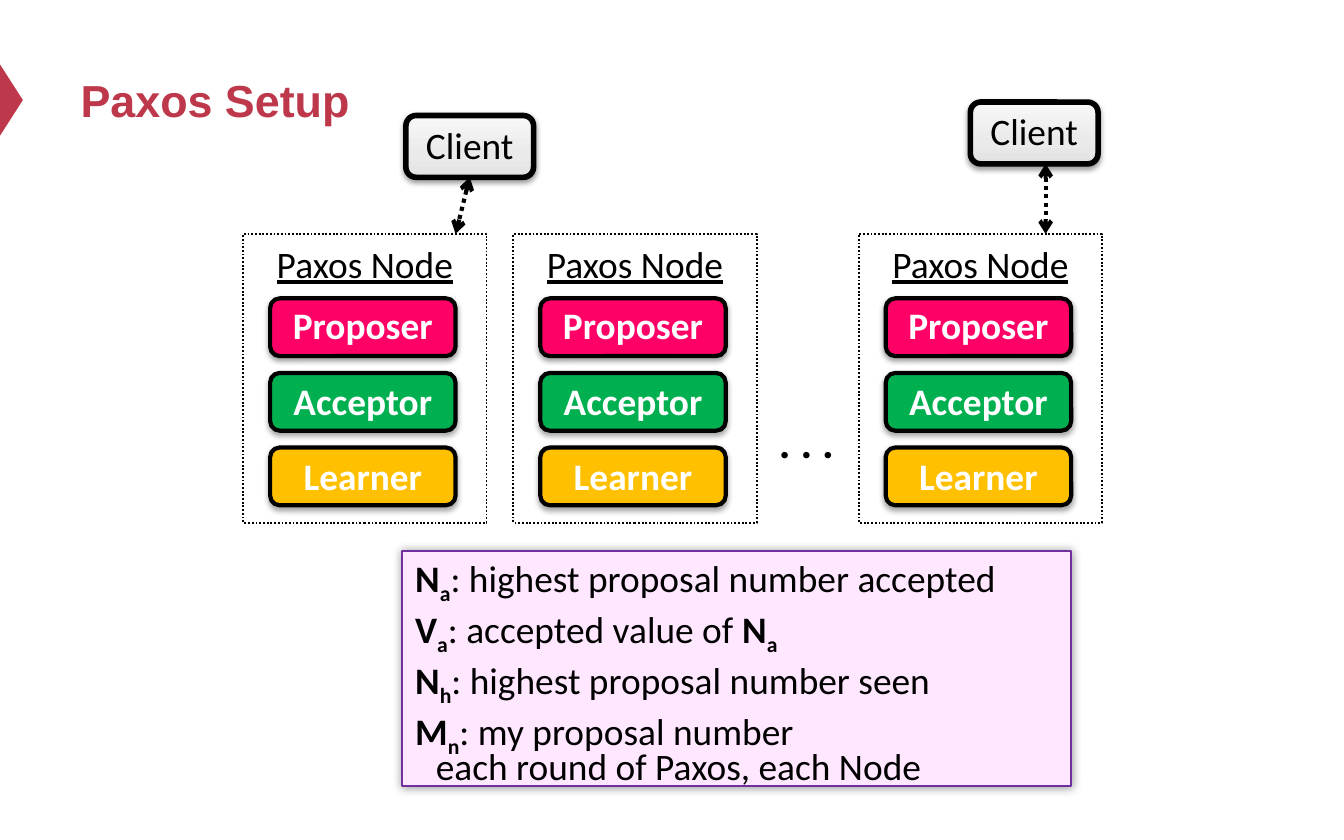
from typing import NamedTuple

from lxml.etree import SubElement
from pptx import Presentation
from pptx.dml.color import RGBColor
from pptx.enum.dml import MSO_LINE
from pptx.enum.shapes import MSO_CONNECTOR, MSO_SHAPE
from pptx.enum.text import MSO_ANCHOR, MSO_AUTO_SIZE, PP_ALIGN
from pptx.oxml.ns import qn
from pptx.util import Inches, Pt

BLACK, WHITE, CRIMSON = "000000", "FFFFFF", "BE384B"


class Box(NamedTuple):
    left: float
    top: float
    width: float
    height: float


class Shadow(NamedTuple):
    opacity: int
    blur: float
    distance: float
    degrees: int


class Role(NamedTuple):
    name: str
    fill: str
    shadow: Shadow
    bottom_inset: float
    spacing: float


class Run(NamedTuple):
    text: str
    bold: bool = False
    baseline: int = 0


SOFT = Shadow(38, 3.1, 1.6, 90)
FIRM = Shadow(35, 3.1, 1.8, 90)
GLOW = Shadow(40, 5, 0, 0)

ROLES = [
    Role("Proposer", "FF0066", SOFT, 0, 0.8),
    Role("Acceptor", "00B050", FIRM, 0.05, 1),
    Role("Learner", "FFC000", FIRM, 0.05, 1),
]
NODE_LEFTS = [1.81, 3.82, 6.39]
NODE_TOP = 1.74
CLIENT_STOPS = [(0, "E2E2E2"), (35, "EAEAEA"), (100, "F7F7F7")]


def symbol(letter: str, index: str) -> list[Run]:
    """Return a bold letter with a subscript."""
    return [Run(letter, True), Run(index, True, -25)]


DEFINITIONS = [
    [*symbol("N", "a"), Run(": highest proposal number accepted")],
    [*symbol("V", "a"), Run(": accepted value of "), *symbol("N", "a")],
    [*symbol("N", "h"), Run(": highest proposal number seen")],
    [*symbol("M", "n"), Run(": my proposal number")],
]


def rgb(value: str) -> RGBColor:
    """Turn a hex string into a colour."""
    return RGBColor.from_string(value)


def inches(values) -> list:
    """Turn numbers into lengths."""
    return [Inches(value) for value in values]


def write(paragraph, text: str, *, size: float = 20, color: str = BLACK, font: str = "Calibri",
          bold: bool = False, underline: bool = False, baseline: int = 0) -> None:
    """Add one formatted run to a paragraph."""
    run = paragraph.add_run()
    run.text = text
    run.font.size, run.font.name = Pt(size), font
    run.font.bold, run.font.underline = bold, underline
    run.font.color.rgb = rgb(color)
    if baseline:
        run.font._element.set("baseline", str(baseline * 1000))


def lay_out(frame, *, insets=(0.1, 0.05, 0.1, 0.05), anchor=MSO_ANCHOR.TOP,
            wrap: bool = True, grow: bool = False) -> None:
    """Set the margins, anchor and fitting of a text frame."""
    (frame.margin_left, frame.margin_top,
     frame.margin_right, frame.margin_bottom) = inches(insets)
    frame.vertical_anchor, frame.word_wrap = anchor, wrap
    frame.auto_size = MSO_AUTO_SIZE.SHAPE_TO_FIT_TEXT if grow else MSO_AUTO_SIZE.NONE


def arrange(paragraph, align=PP_ALIGN.CENTER, spacing: float = 1, hanging: float = 0) -> None:
    """Set the alignment, line spacing and hanging indent of a paragraph."""
    paragraph.alignment, paragraph.line_spacing = align, spacing
    if hanging:
        properties = paragraph._p.get_or_add_pPr()
        properties.set("marL", str(Inches(hanging)))
        properties.set("indent", str(-Inches(hanging)))


def add_block(slide, kind, box: Box, *, fill: str = "", line: str = "", weight: float = 1,
              dash=None, shadow: Shadow | None = None):
    """Draw a preset shape with its fill, outline and shadow."""
    block = slide.shapes.add_shape(kind, *inches(box))
    block.shadow.inherit = False
    if fill:
        block.fill.solid()
        block.fill.fore_color.rgb = rgb(fill)
    else:
        block.fill.background()
    if line:
        block.line.color.rgb, block.line.width = rgb(line), Pt(weight)
        if dash:
            block.line.dash_style = dash
    else:
        block.line.fill.background()
    if shadow:
        effects = block._element.spPr.find(qn("a:effectLst"))
        outer = SubElement(effects, qn("a:outerShdw"), blurRad=str(Pt(shadow.blur)),
                           dist=str(Pt(shadow.distance)), dir=str(shadow.degrees * 60000),
                           rotWithShape="0")
        tint = SubElement(outer, qn("a:srgbClr"), val=BLACK)
        SubElement(tint, qn("a:alpha"), val=str(shadow.opacity * 1000))
    return block


def add_label(slide, text: str, box: Box, *, wrap: bool = True, spacing: float = 1,
              hanging: float = 0, insets=(0.1, 0.05, 0.1, 0.05), **style) -> None:
    """Add a centred text box."""
    frame = slide.shapes.add_textbox(*inches(box)).text_frame
    lay_out(frame, insets=insets, wrap=wrap, grow=True)
    arrange(frame.paragraphs[0], spacing=spacing, hanging=hanging)
    write(frame.paragraphs[0], text, **style)


def add_node(slide, left: float) -> None:
    """Draw a Paxos node with its three roles."""
    for row, role in enumerate(ROLES):
        box = Box(left + 0.2, 2.22 + row * 0.555, 1.38, 0.43)
        block = add_block(slide, MSO_SHAPE.ROUNDED_RECTANGLE, box, fill=role.fill,
                          line=BLACK, weight=2.25, shadow=role.shadow)
        lay_out(block.text_frame, insets=(0, 0.03, 0, role.bottom_inset),
                anchor=MSO_ANCHOR.MIDDLE, wrap=False)
        arrange(block.text_frame.paragraphs[0], spacing=role.spacing)
        write(block.text_frame.paragraphs[0], role.name, color=WHITE, bold=True)
    add_block(slide, MSO_SHAPE.RECTANGLE, Box(left, NODE_TOP, 1.81, 2.15),
              line=BLACK, dash=MSO_LINE.ROUND_DOT)
    add_label(slide, "Paxos Node", Box(left + 0.04, 1.81, 1.73, 0.37), wrap=False,
              spacing=0.8, underline=True)


def add_client(slide, left: float, top: float):
    """Draw a client box with a grey gradient."""
    client = add_block(slide, MSO_SHAPE.ROUNDED_RECTANGLE, Box(left, top, 0.95, 0.46),
                       line=BLACK, weight=3, shadow=SOFT)
    client.fill.gradient()
    client.fill.gradient_angle = 90
    stops = client._element.spPr.find(".//" + qn("a:gsLst"))
    stops[:] = []
    for position, color in CLIENT_STOPS:
        stop = SubElement(stops, qn("a:gs"), pos=str(position * 1000))
        SubElement(stop, qn("a:srgbClr"), val=color)
    lay_out(client.text_frame, insets=(0.08, 0.03, 0.08, 0), anchor=MSO_ANCHOR.MIDDLE, wrap=False)
    arrange(client.text_frame.paragraphs[0], spacing=0.8)
    write(client.text_frame.paragraphs[0], "Client")
    return client


def add_link(slide, start: tuple[float, float], end: tuple[float, float]):
    """Draw a dotted arrow with two heads."""
    link = slide.shapes.add_connector(MSO_CONNECTOR.STRAIGHT, *inches(start + end))
    link.line.color.rgb, link.line.width = rgb(BLACK), Pt(2.25)
    link.line.dash_style = MSO_LINE.ROUND_DOT
    outline = link.line._get_or_add_ln()
    for tip in ("a:headEnd", "a:tailEnd"):
        SubElement(outline, qn(tip), type="arrow")
    SubElement(link._element.spPr, qn("a:effectLst"))
    return link


def main() -> None:
    """Build the Paxos setup slide."""
    deck = Presentation()
    deck.slide_width, deck.slide_height = inches((10, 6.25))
    slide = deck.slides.add_slide(deck.slide_layouts[5])

    title = slide.shapes.title
    title.left, title.top, title.width, title.height = inches((0.5, 0.25, 9, 0.98))
    lay_out(title.text_frame, anchor=MSO_ANCHOR.MIDDLE)
    arrange(title.text_frame.paragraphs[0], PP_ALIGN.LEFT)
    write(title.text_frame.paragraphs[0], "Paxos Setup", size=24, color=CRIMSON,
          font="Arial", bold=True)
    marker = add_block(slide, MSO_SHAPE.ISOSCELES_TRIANGLE, Box(-0.18, 0.66, 0.53, 0.17),
                       fill=CRIMSON)
    marker.rotation = 90

    for left in NODE_LEFTS:
        add_node(slide, left)
    add_label(slide, ". . .", Box(5.62, 3.09, 0.76, 0.43), hanging=0.24,
              insets=(0.07, 0, 0.07, 0.03), size=23.4, bold=True)

    first_client = add_client(slide, 3.02, 0.86)
    add_link(slide, (3.5, 1.32), (3.39, NODE_TOP)).begin_connect(first_client, 2)
    add_client(slide, 7.22, 0.76)
    add_link(slide, (7.78, 1.22), (7.78, NODE_TOP))

    legend = add_block(slide, MSO_SHAPE.RECTANGLE, Box(2.99, 4.1, 4.98, 1.75), fill="FFE7FF",
                       line="7030A0", weight=0.75, shadow=GLOW).text_frame
    lay_out(legend, insets=(0.1, 0.03, 0.07, 0.03), grow=True)
    for row, definition in enumerate(DEFINITIONS):
        paragraph = legend.add_paragraph() if row else legend.paragraphs[0]
        arrange(paragraph, PP_ALIGN.LEFT, hanging=0.24)
        for run in definition:
            write(paragraph, run.text, bold=run.bold, baseline=run.baseline)
    add_label(slide, "each round of Paxos, each Node", Box(2.85, 5.48, 4.4, 0.44))
    deck.save("out.pptx")


if __name__ == "__main__":
    main()
